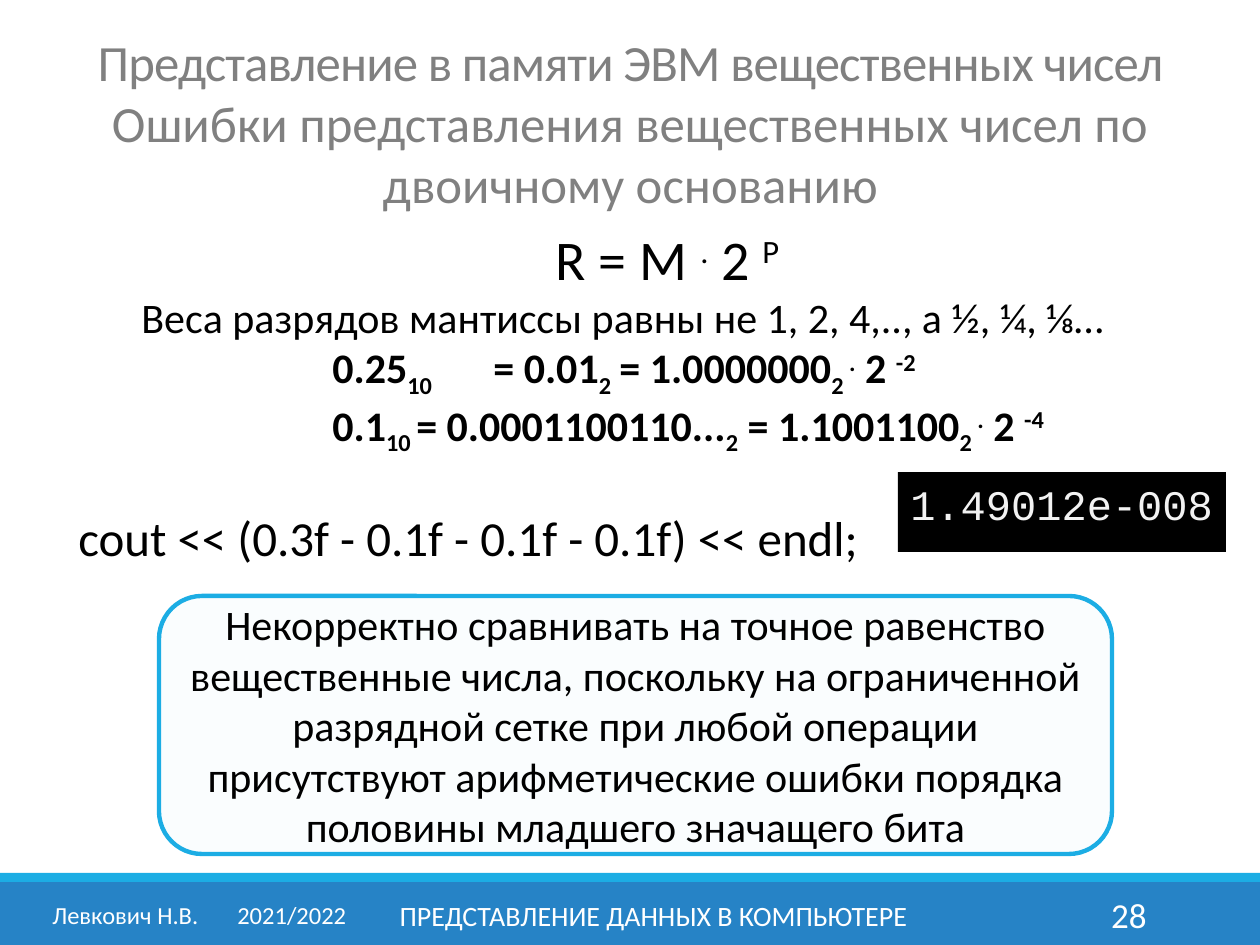
"""Build the slide on errors of representing real numbers in binary."""
from dataclasses import dataclass

from lxml.etree import SubElement
from pptx import Presentation
from pptx.dml.color import RGBColor
from pptx.enum.shapes import MSO_SHAPE as Shape
from pptx.enum.text import MSO_ANCHOR as Anchor, MSO_AUTO_SIZE as AutoSize, PP_ALIGN as Align
from pptx.oxml.ns import qn
from pptx.util import Pt

PX = 914400 // 126


@dataclass(frozen=True)
class Theme:
    font: str = "Calibri"
    mono: str = "Courier New"
    ink: str = "000000"
    title: str = "808080"
    light: str = "FFFFFF"
    output: str = "F2F2F2"
    bar: str = "2683C6"
    accent: str = "1CADE4"
    title_size: int = 29
    formula_size: int = 32
    code_size: int = 28
    text_size: int = 24
    number_size: int = 20
    topic_size: int = 16
    author_size: int = 14


T = Theme()
SUP, SUB = 30, -25

TITLE = [
    ("Представление в памяти ЭВМ вещественных чисел", -50, 0.85),
    ("Ошибки представления вещественных чисел по двоичному основанию", 0, 1.0),
]
FORMULA = [("R = M ", 0), (".", SUP), (" 2 ", 0), ("P", SUP)]
WEIGHTS = [("Веса разрядов мантиссы равны не 1, 2, 4,.., а ½, ¼, ⅛…", 0)]
EXAMPLES = [
    [("\t0.25", 0), ("10", SUB), ("\t= 0.01", 0), ("2", SUB), ("\t= 1.0000000", 0),
     ("2 ", SUB), (".", SUP), (" 2 ", 0), ("-2", SUP)],
    [("\t0.1", 0), ("10 ", SUB), ("= 0.0001100110...", 0), ("2", SUB), (" = 1.1001100", 0),
     ("2 ", SUB), (".", SUP), (" 2 ", 0), ("-4", SUP)],
]
CODE = [("cout << (0.3f - 0.1f - 0.1f - 0.1f) << endl;", 0)]
OUTPUT = "1.49012e-008"
WARNING = ("Некорректно сравнивать на точное равенство вещественные числа, поскольку на "
           "ограниченной разрядной сетке при любой операции присутствуют арифметические "
           "ошибки порядка половины младшего значащего бита")
FOOTER = [
    ("Левкович Н.В.\t2021/2022", 40, 329, T.author_size, Align.LEFT, (185,)),
    ("ПРЕДСТАВЛЕНИЕ ДАННЫХ В КОМПЬЮТЕРЕ", 380, 547, T.topic_size, Align.CENTER, ()),
    ("28", 1023, 136, T.number_size, Align.RIGHT, ()),
]
BARS = [(882, 63, T.bar), (873, 9, T.accent)]
EXAMPLE_TABS = (254, 415, 541)


def box(*px):
    return [v * PX for v in px]


def add_run(p, text, size, color=T.ink, font=T.font, bold=False, baseline=0):
    r = p.add_run()
    r.text = text
    r.font.size, r.font.name, r.font.bold = Pt(size), font, bold
    r.font.color.rgb = RGBColor.from_string(color)
    if baseline:
        r.font._element.set("baseline", str(baseline * 1000))
    return r


def set_tabs(p, stops):
    tabs = SubElement(p._p.get_or_add_pPr(), qn("a:tabLst"))
    for stop in stops:
        SubElement(tabs, qn("a:tab"), pos=str(stop * PX), algn="l")


def set_indent(p, left, first):
    pPr = p._p.get_or_add_pPr()
    pPr.set("marL", str(left * PX))
    pPr.set("indent", str(first * PX))


def add_text(s, px, anchor=Anchor.TOP):
    tf = s.shapes.add_textbox(*box(*px)).text_frame
    tf.word_wrap, tf.vertical_anchor = True, anchor
    return tf


def add_panel(s, kind, px, fill):
    sp = s.shapes.add_shape(kind, *box(*px))
    sp.shadow.inherit = False
    sp.fill.solid()
    sp.fill.fore_color.rgb = RGBColor.from_string(fill)
    sp.line.fill.background()
    return sp


def add_title(s):
    sp = s.shapes.title
    sp.left, sp.top, sp.width, sp.height = box(35, 64, 1191, 125)
    tf = sp.text_frame
    tf.auto_size, tf.vertical_anchor = AutoSize.NONE, Anchor.MIDDLE
    for i, (text, spacing, leading) in enumerate(TITLE):
        p = tf.add_paragraph() if i else tf.paragraphs[0]
        p.alignment, p.line_spacing = Align.CENTER, leading
        r = add_run(p, text, T.title_size, T.title)
        r.font._element.set("spc", str(spacing))


def add_body(s):
    tf = add_text(s, (66, 218, 1140, 606))
    rows = [(FORMULA, T.formula_size), (WEIGHTS, T.text_size),
            *((row, T.text_size) for row in EXAMPLES), (CODE, T.code_size)]
    for i, (row, size) in enumerate(rows):
        p = tf.add_paragraph() if i else tf.paragraphs[0]
        example = row in EXAMPLES
        if row is FORMULA:
            p.alignment = Align.CENTER
        if row is CODE:
            p.space_before = Pt(29)
        if example:
            set_tabs(p, EXAMPLE_TABS)
        elif row is not CODE:
            set_indent(p, 121, -58)
        for text, baseline in row:
            add_run(p, text, size, bold=example, baseline=baseline)


def add_output(s):
    tf = add_panel(s, Shape.RECTANGLE, (898, 472, 328, 80), T.ink).text_frame
    tf.word_wrap, tf.vertical_anchor = False, Anchor.TOP
    p = tf.paragraphs[0]
    p.alignment = Align.LEFT
    add_run(p, OUTPUT, T.text_size, T.output, T.mono)


def add_warning(s):
    sp = add_panel(s, Shape.ROUNDED_RECTANGLE, (159, 596, 953, 258), T.accent)
    color = sp.fill._xPr.find(qn("a:solidFill"))[0]
    SubElement(color, qn("a:alpha"), val="2000")
    sp.line.color.rgb = RGBColor.from_string(T.accent)
    sp.line.width = Pt(2.5)
    tf = sp.text_frame
    tf.word_wrap, tf.vertical_anchor = True, Anchor.MIDDLE
    p = tf.paragraphs[0]
    p.alignment = Align.CENTER
    add_run(p, WARNING, T.text_size)


def add_footer(s):
    for text, left, width, size, align, tabs in FOOTER:
        p = add_text(s, (left, 890, width, 50), Anchor.MIDDLE).paragraphs[0]
        p.alignment = align
        if tabs:
            set_tabs(p, tabs)
        add_run(p, text, size, T.light)


def main():
    prs = Presentation()
    prs.slide_width, prs.slide_height = box(1260, 945)
    s = prs.slides.add_slide(prs.slide_layouts[5])
    for top, height, color in BARS:
        add_panel(s, Shape.RECTANGLE, (0, top, 1260, height), color)
    add_title(s)
    add_body(s)
    add_output(s)
    add_warning(s)
    add_footer(s)
    prs.save("out.pptx")


if __name__ == "__main__":
    main()
